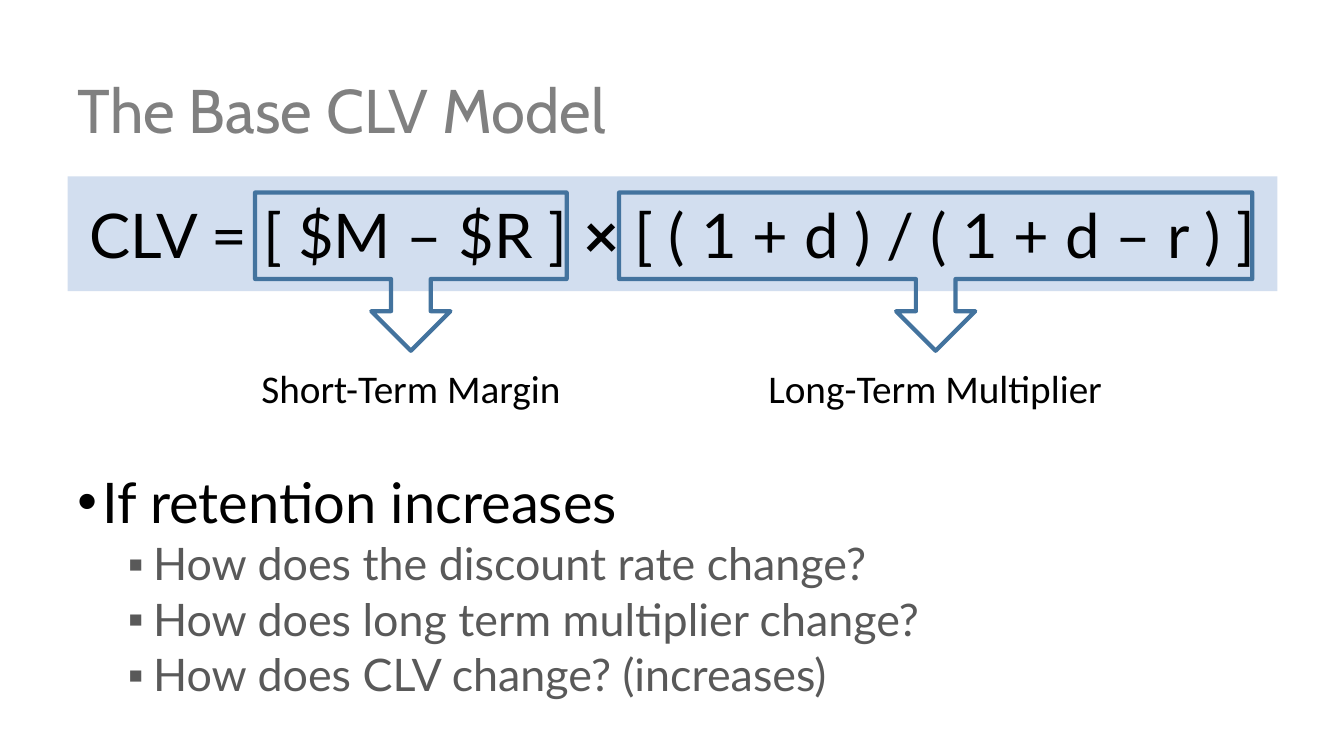
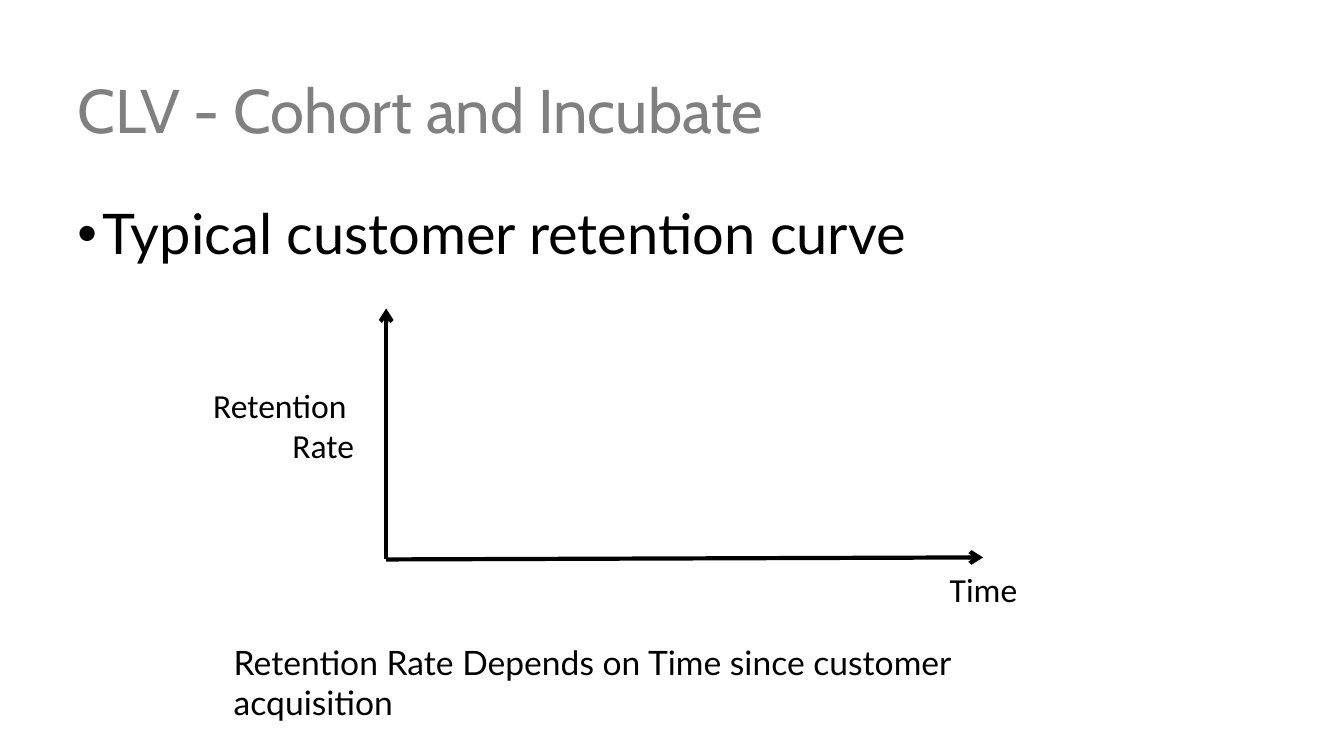
from lxml import etree
from pptx import Presentation
from pptx.dml.color import RGBColor
from pptx.enum import shapes, text
from pptx.oxml import ns
from pptx.util import Inches, Pt

COLORS = {"title": "808080", "ink": "000000", "muted": "595959",
          "band": "D2DEEF", "callout": "43739E"}
LEFT, WIDTH = 0.67, 12
ALIGN = text.PP_ALIGN
# Per level: marker, size, colour, left margin in inches, space before
BULLETS = [("•", 40, "ink", 0.25, 10), ("▪", 32, "muted", 0.75, 5)]


def rgb(name):
    return RGBColor.from_string(COLORS[name])


def inches(box):
    return [Inches(v) for v in box]


def add_run(paragraph, words, size=24, font="Lato", color="ink", bold=False):
    run = paragraph.add_run()
    run.text = words
    run.font.size, run.font.name, run.font.bold = Pt(size), font, bold
    run.font.color.rgb = rgb(color)


def add_label(parent, box, lines, align=ALIGN.LEFT, wrap=False, **style):
    frame = parent.add_textbox(*inches(box)).text_frame
    frame.word_wrap = wrap
    for i, line in enumerate(lines):
        paragraph = frame.paragraphs[0] if i == 0 else frame.add_paragraph()
        paragraph.alignment = align
        add_run(paragraph, line, **style)


def add_bullets(parent, box, items):
    """Items are (level, words) pairs."""
    frame = parent.add_textbox(*inches(box)).text_frame
    frame.word_wrap = True
    for i, (level, words) in enumerate(items):
        marker, size, color, margin, before = BULLETS[level]
        paragraph = frame.paragraphs[0] if i == 0 else frame.add_paragraph()
        paragraph.level = level
        paragraph.line_spacing, paragraph.space_before = 0.9, Pt(before)
        add_run(paragraph, words, size=size, color=color)
        props = paragraph._p.get_or_add_pPr()
        props.set("marL", str(Inches(margin)))
        props.set("indent", str(Inches(-0.25)))
        etree.SubElement(props, ns.qn("a:buFont")).set("typeface", "Arial")
        etree.SubElement(props, ns.qn("a:buChar")).set("char", marker)


def add_titled_slide(prs, words):
    slide = prs.slides.add_slide(prs.slide_layouts[5])
    title = slide.shapes.title
    title.left, title.top, title.width, title.height = inches((LEFT, 0.4, WIDTH, 1.45))
    frame = title.text_frame
    frame.vertical_anchor = text.MSO_ANCHOR.MIDDLE
    heading = frame.paragraphs[0]
    heading.alignment, heading.line_spacing = ALIGN.LEFT, 0.9
    add_run(heading, words, size=44, font="Cabin", color="title")
    return slide


def add_formula_band(parent, box, parts):
    """Parts are (words, bold) pairs."""
    band = parent.add_shape(shapes.MSO_SHAPE.RECTANGLE, *inches(box))
    band.shadow.inherit = False
    band.fill.solid()
    band.fill.fore_color.rgb = rgb("band")
    band.line.fill.background()
    frame = band.text_frame
    frame.word_wrap = True
    frame.margin_left = frame.margin_right = Inches(0.2)
    frame.margin_top = frame.margin_bottom = Inches(0.2)
    formula = frame.paragraphs[0]
    formula.alignment = ALIGN.CENTER
    for words, bold in parts:
        add_run(formula, words, size=44, bold=bold)


def add_callout(parent, box):
    callout = parent.add_shape(shapes.MSO_SHAPE.DOWN_ARROW_CALLOUT, *inches(box))
    callout.shadow.inherit = False
    callout.fill.background()
    callout.line.color.rgb = rgb("callout")
    callout.line.width = Pt(3)
    for i, value in enumerate((0.25, 0.25, 0.25, 0.547)):
        callout.adjustments[i] = value


def add_axis(parent, start, end):
    axis = parent.add_connector(shapes.MSO_CONNECTOR.STRAIGHT, *inches(start + end))
    axis.line.color.rgb = rgb("ink")
    axis.line.width = Pt(3)
    etree.SubElement(axis.line._get_or_add_ln(), ns.qn("a:tailEnd")).set("type", "arrow")
    etree.SubElement(axis._element.spPr, ns.qn("a:effectLst"))


def add_retention_axes(parent, box):
    """Box spans the two axes; the labels sit outside it."""
    x, y, w, h = box
    chart = parent.add_group_shape().shapes
    origin = (x, y + h)
    add_axis(chart, origin, (x + w, y + h - 0.02))
    add_axis(chart, origin, (x, y))
    add_label(chart, (x + w - 0.43, y + h + 0.04, 0.88, 0.5), ["Time"], font="Calibri")
    add_label(chart, (x - 1.83, y + 0.71, 1.61, 0.91), ["Retention ", "Rate"],
              align=ALIGN.RIGHT, font="Calibri")


def build_base_model(prs):
    parts = add_titled_slide(prs, "The Base CLV Model").shapes
    add_formula_band(parts, (LEFT, 1.75, WIDTH, 1.14),
                     [("CLV = [ $M – $R ] ", False), ("× ", True),
                      ("[ ( 1 + d ) / ( 1 + d – r ) ]", False)])
    # Each bracket of the formula: callout span, then label span
    for words, (left, width), (label_left, label_width) in (
            ("Short-Term Margin", (2.53, 3.09), (2.12, 3.91)),
            ("Long-Term Multiplier", (6.14, 6.28), (7.5, 3.55))):
        add_callout(parts, (left, 1.91, width, 1.57))
        add_label(parts, (label_left, 3.57, label_width, 0.57), [words],
                  align=ALIGN.CENTER, size=28, font="Calibri")
    add_bullets(parts, (LEFT, 4.66, WIDTH, 2.43),
                [(0, "If retention increases"),
                 (1, "How does the discount rate change?"),
                 (1, "How does long term multiplier change?"),
                 (1, "How does CLV change? (increases)")])


def build_cohort(prs):
    parts = add_titled_slide(prs, "CLV - Cohort and Incubate").shapes
    add_bullets(parts, (LEFT, 2, WIDTH, 0.9), [(0, "Typical customer retention curve")])
    add_retention_axes(parts, (3.83, 3.06, 5.92, 2.49))
    add_label(parts, (2.22, 6.32, 8.6, 0.9),
              ["Retention Rate Depends on Time since customer acquisition"], wrap=True)


def main():
    prs = Presentation()
    prs.slide_width, prs.slide_height = Inches(13.33), Inches(7.5)
    build_base_model(prs)
    build_cohort(prs)
    prs.save("out.pptx")


if __name__ == "__main__":
    main()
